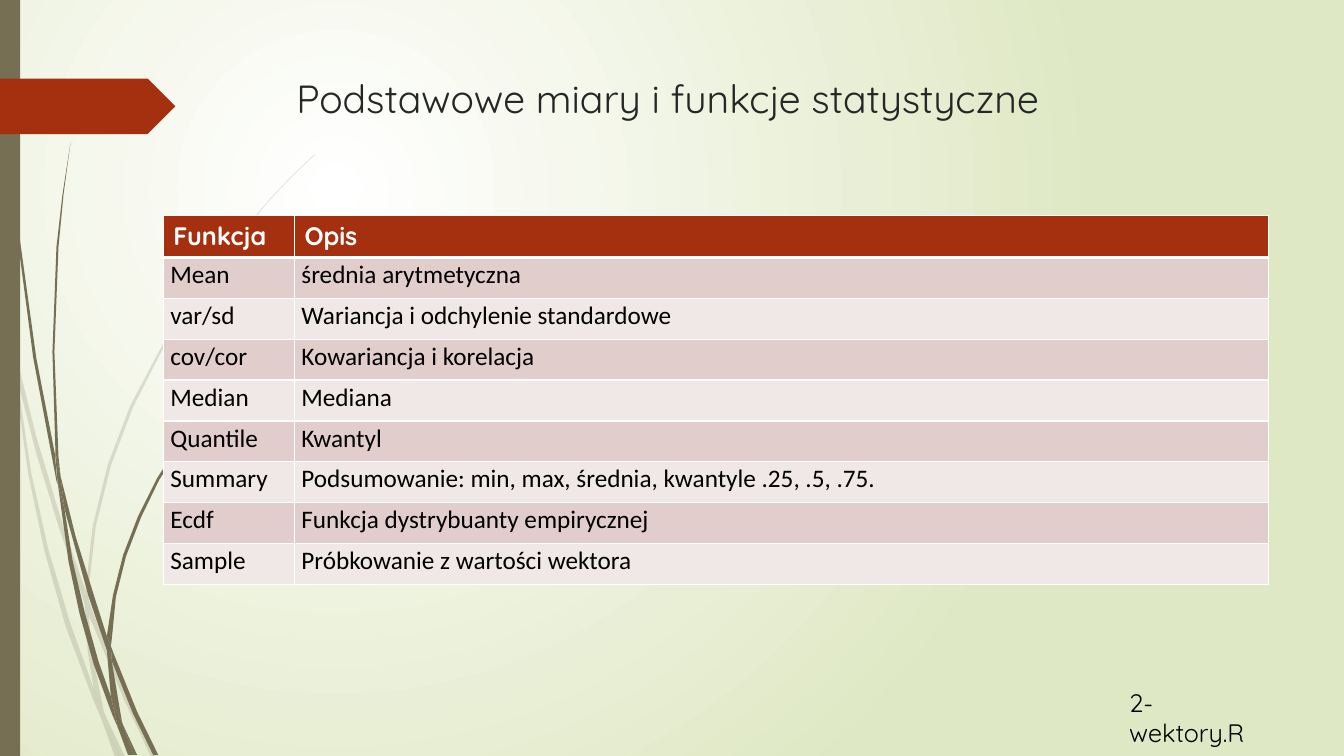
from lxml.etree import SubElement
from pptx import Presentation
from pptx.dml.color import RGBColor
from pptx.enum.shapes import MSO_SHAPE
from pptx.enum.text import MSO_ANCHOR, PP_ALIGN
from pptx.oxml.ns import qn
from pptx.util import Inches, Pt

COLORS = {
    "white": "FFFFFF", "meadow": "DFE8C4", "olive": "766F54", "rust": "A53010",
    "ink": "262626", "black": "000000", "rose": "E1CDCC", "pale": "F0E8E7",
}


def paint(shape, color):
    shape.shadow.inherit = False
    shape.fill.solid()
    shape.fill.fore_color.rgb = RGBColor.from_string(COLORS[color])
    shape.line.fill.background()


prs = Presentation()
prs.slide_width, prs.slide_height = Inches(13.33), Inches(7.5)
slide = prs.slides.add_slide(prs.slide_layouts[5])
shapes = slide.shapes

background = slide.background.fill
background.gradient()
for stop, position, color in zip(background.gradient_stops, (0, 1), ("white", "meadow")):
    stop.position = position
    stop.color.rgb = RGBColor.from_string(COLORS[color])
linear = next(slide.element.iter(qn("a:lin")))
gradient = linear.getparent()
gradient.remove(linear)
radial = SubElement(gradient, qn("a:path"), {"path": "circle"})
SubElement(radial, qn("a:fillToRect"), {"l": "50000", "t": "50000", "r": "100000", "b": "100000"})

pale_grass = [
    [(0.11, 3.5), (0.09, 3.22), (0, 2.82), (0, 2.99), (0.1, 3.44)],
    [(0.58, 5.22), (0.84, 5.99), (0.85, 5.86), (0.62, 5.2), (0.36, 4.33), (0.14, 3.45),
     (0.17, 3.76), (0.36, 4.5)],
    [(0.92, 6.07), (0.88, 5.96), (0.88, 6.1), (1.23, 6.94), (1.5, 7.51), (1.55, 7.51),
     (1.27, 6.92)],
    [(1.19, 7.51), (1.24, 7.51), (1.05, 7.11)],
    [(0.93, 6.83), (0.7, 6.19), (0.48, 5.45), (0.31, 4.69), (0.17, 3.76), (0.11, 3.5),
     (0.28, 4.7), (0.44, 5.46), (0.65, 6.21), (0.92, 6.93), (1.01, 7.14), (0.99, 7.07)],
    [(0.84, 5.99), (0.87, 6.46), (0.93, 6.83), (0.96, 6.92), (1.05, 7.11), (1.03, 7.06),
     (0.91, 6.46), (0.88, 6.1), (0.88, 6.08)],
    [(0.88, 5.84), (0.95, 5.22), (1.1, 4.62), (1.32, 4.04), (1.6, 3.49), (1.92, 2.95),
     (2.29, 2.45), (2.68, 1.98), (2.9, 1.75), (3.12, 1.54), (3.12, 1.53), (2.89, 1.75),
     (2.68, 1.97), (2.28, 2.44), (1.9, 2.94), (1.58, 3.48), (1.29, 4.03), (1.07, 4.61),
     (0.92, 5.22), (0.85, 5.84), (0.85, 5.86), (0.88, 5.96)],
    [(1.01, 7.14), (1.14, 7.51), (1.19, 7.51)],
    [(0.88, 6.08), (0.88, 6.1), (0.88, 5.96), (0.85, 5.86), (0.84, 5.99)],
    [(0.96, 6.92), (0.93, 6.83), (0.99, 7.07), (1.01, 7.14), (1.19, 7.51), (1.05, 7.11)],
]
dark_grass = [
    [(0.07, 1.1), (0.17, 2.33), (0.33, 3.55), (0.56, 4.77), (0.57, 4.81), (0.55, 4.57),
     (0.55, 4.53), (0.36, 3.55), (0.19, 2.32), (0.08, 1.09), (0.05, 0.48), (0.04, 0),
     (0.03, 0), (0.04, 0.48)],
    [(0.88, 5.92), (1.06, 6.45), (1.06, 6.33), (1.06, 6.31), (0.93, 5.9), (0.75, 5.32),
     (0.6, 4.72), (0.64, 5.05)],
    [(1.13, 6.49), (1.1, 6.41), (1.11, 6.56), (1.32, 7.08), (1.52, 7.49), (1.57, 7.49),
     (1.36, 7.06)],
    [(1.1, 6.91), (0.98, 6.57), (0.84, 6.07), (0.72, 5.56), (0.64, 5.05), (0.57, 4.77),
     (0.68, 5.57), (0.79, 6.09), (0.93, 6.59), (1.11, 7.08), (1.17, 7.22), (1.16, 7.17)],
    [(0.6, 4.72), (0.58, 4.53), (0.54, 3.49), (0.58, 2.45), (0.63, 1.93), (0.7, 1.41),
     (0.62, 1.93), (0.56, 2.45), (0.52, 3.49), (0.55, 4.49)],
    [(1.33, 7.49), (1.36, 7.49), (1.22, 7.19)],
    [(0.57, 4.77), (0.64, 5.05), (0.6, 4.72), (0.55, 4.49), (0.55, 4.53)],
    [(1.11, 6.33), (1.15, 5.92), (1.25, 5.52), (1.4, 5.13), (1.58, 4.76), (1.81, 4.4),
     (2.05, 4.06), (2.31, 3.74), (2.45, 3.59), (2.61, 3.44), (2.6, 3.44), (2.45, 3.58),
     (2.31, 3.73), (2.04, 4.05), (1.79, 4.39), (1.56, 4.74), (1.37, 5.12), (1.22, 5.51),
     (1.12, 5.91), (1.06, 6.31), (1.1, 6.41)],
    [(1.17, 7.22), (1.27, 7.49), (1.31, 7.49)],
    [(1.06, 6.45), (1.1, 6.91), (1.16, 7.06), (1.22, 7.19), (1.21, 7.16), (1.11, 6.56),
     (1.09, 6.51)],
    [(1.06, 6.45), (1.09, 6.51), (1.11, 6.56), (1.1, 6.41), (1.06, 6.31), (1.06, 6.33)],
    [(1.16, 7.06), (1.1, 6.91), (1.16, 7.17), (1.17, 7.22), (1.3, 7.49), (1.33, 7.49),
     (1.22, 7.19)],
]
for opacity, blades in ((20, pale_grass), (100, dark_grass)):
    for outline in blades:
        points = [(Inches(x), Inches(y)) for x, y in outline]
        builder = shapes.build_freeform(*points[0])
        builder.add_line_segments(points[1:], close=True)
        blade = builder.convert_to_shape()
        paint(blade, "olive")
        if opacity < 100:
            tint = next(blade.element.spPr.iter(qn("a:srgbClr")))
            SubElement(tint, qn("a:alpha"), {"val": str(opacity * 1000)})

stripe = shapes.add_shape(MSO_SHAPE.RECTANGLE, 0, 0, Inches(0.2), prs.slide_height)
paint(stripe, "olive")
tag = shapes.add_shape(MSO_SHAPE.PENTAGON, 0, Inches(0.78), Inches(1.74), Inches(0.55))
paint(tag, "rust")

title = shapes.title
title.left, title.top, title.width, title.height = map(Inches, (2.84, 0.69, 9.75, 1.4))
title.text = "Podstawowe miary i funkcje statystyczne"
title.text_frame.vertical_anchor = MSO_ANCHOR.TOP
heading = title.text_frame.paragraphs[0]
heading.alignment = PP_ALIGN.LEFT
heading.font.size, heading.font.name = Pt(28), "Quicksand"
heading.font.color.rgb = RGBColor.from_string(COLORS["ink"])

functions = [
    ("Funkcja", "Opis"),
    ("Mean", "średnia arytmetyczna"),
    ("var/sd", "Wariancja i odchylenie standardowe"),
    ("cov/cor", "Kowariancja i korelacja"),
    ("Median", "Mediana"),
    ("Quantile", "Kwantyl"),
    ("Summary", "Podsumowanie: min, max, średnia, kwantyle .25, .5, .75."),
    ("Ecdf", "Funkcja dystrybuanty empirycznej"),
    ("Sample", "Próbkowanie z wartości wektora"),
]
table = shapes.add_table(len(functions), 2, Inches(1.62), Inches(2.14),
                         Inches(10.96), Inches(3.65)).table
for column, width in zip(table.columns, (1.3, 9.66)):
    column.width = Inches(width)
for row, entries in enumerate(functions):
    for column, entry in enumerate(entries):
        cell = table.cell(row, column)
        cell.text = entry
        line = cell.text_frame.paragraphs[0]
        line.font.size = Pt(18)
        line.font.bold = row == 0
        line.font.name = "Calibri" if row else "Quicksand"
        line.font.color.rgb = RGBColor.from_string(COLORS["black" if row else "white"])
        if row:
            line.line_spacing = 1.07
            cell.margin_left = cell.margin_right = Inches(0.07)
            cell.margin_top = cell.margin_bottom = 0
        else:
            rule = SubElement(cell._tc.get_or_add_tcPr(), qn("a:lnB"), {"w": str(Pt(3))})
            ink = SubElement(rule, qn("a:solidFill"))
            SubElement(ink, qn("a:srgbClr"), {"val": COLORS["white"]})
        cell.fill.solid()
        band = "rust" if row == 0 else ("pale", "rose")[row % 2]
        cell.fill.fore_color.rgb = RGBColor.from_string(COLORS[band])

script_name = shapes.add_textbox(Inches(11.1), Inches(6.77), Inches(1.48), Inches(0.4)).text_frame
script_name.word_wrap = True
script_name.text = "2-wektory.R"
label = script_name.paragraphs[0]
label.font.size, label.font.name = Pt(18), "Quicksand"
label.font.color.rgb = RGBColor.from_string(COLORS["black"])

prs.save("out.pptx")
